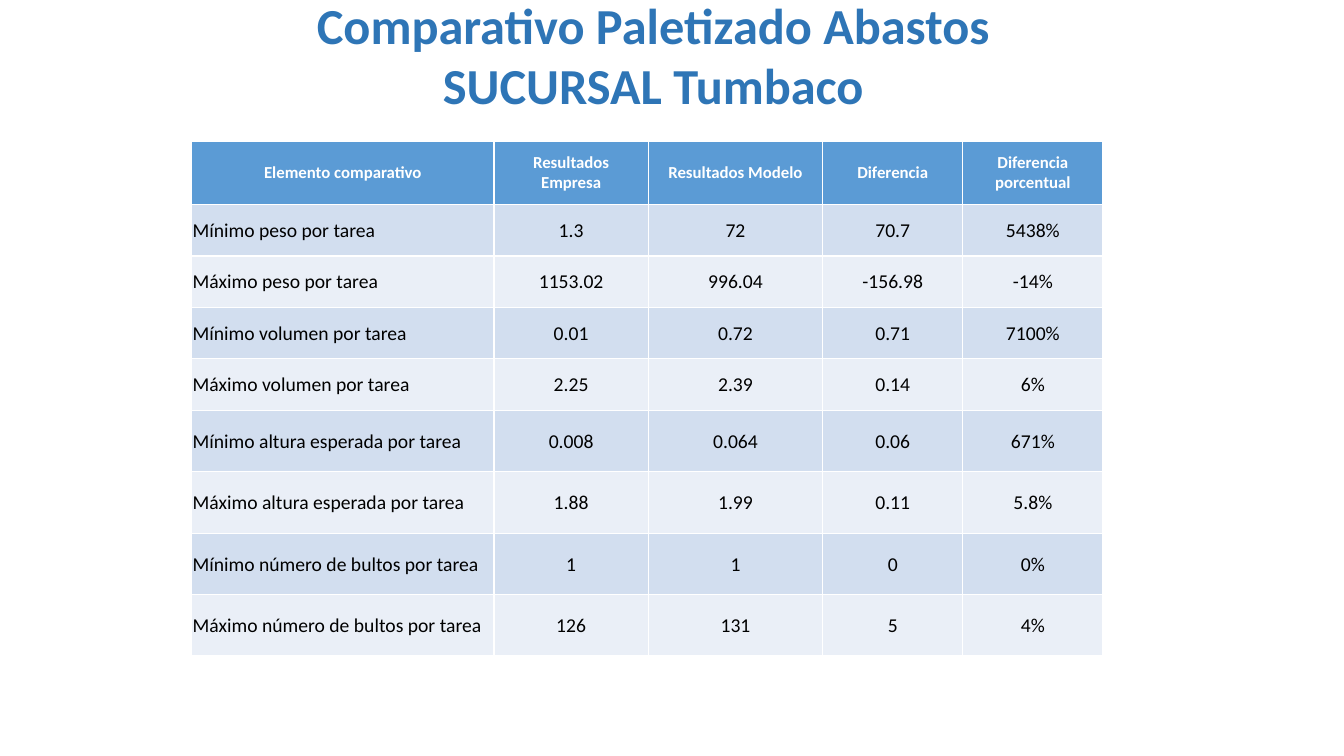
"""Build the pallet comparison slide: a two-line title above a results table."""
from pptx import Presentation
from pptx.dml.color import RGBColor
from pptx.enum.text import MSO_ANCHOR, MSO_AUTO_SIZE, PP_ALIGN
from pptx.util import Inches, Pt

TITLE_BLUE = RGBColor(0x2E, 0x75, 0xB6)
HEADER_BLUE = RGBColor(0x5B, 0x9B, 0xD5)
BAND_DARK = RGBColor(0xD2, 0xDE, 0xEF)
BAND_LIGHT = RGBColor(0xEA, 0xEF, 0xF7)
WHITE = RGBColor(0xFF, 0xFF, 0xFF)
BLACK = RGBColor(0, 0, 0)

COL_WIDTHS = [3, 1.53, 1.73, 1.39, 1.39]
ROW_HEIGHTS = [0.63] + [0.51] * 4 + [0.61] * 4
ROWS = [
    ("Elemento comparativo", "Resultados Empresa", "Resultados Modelo", "Diferencia", "Diferencia porcentual"),
    ("Mínimo peso por tarea", "1.3", "72", "70.7", "5438%"),
    ("Máximo peso por tarea", "1153.02", "996.04", "-156.98", "-14%"),
    ("Mínimo volumen por tarea", "0.01", "0.72", "0.71", "7100%"),
    ("Máximo volumen por tarea", "2.25", "2.39", "0.14", "6%"),
    ("Mínimo altura esperada por tarea", "0.008", "0.064", "0.06", "671%"),
    ("Máximo altura esperada por tarea", "1.88", "1.99", "0.11", "5.8%"),
    ("Mínimo número de bultos por tarea", "1", "1", "0", "0%"),
    ("Máximo número de bultos por tarea", "126", "131", "5", "4%"),
]


def write(tf, text, size, color, bold=False, align=PP_ALIGN.CENTER):
    tf.text = text
    for p in tf.paragraphs:
        p.alignment = align
        for r in p.runs:
            r.font.name = "Calibri"
            r.font.size = Pt(size)
            r.font.bold = bold
            r.font.color.rgb = color


prs = Presentation()
prs.slide_width, prs.slide_height = Inches(13.33), Inches(7.5)
s = prs.slides.add_slide(prs.slide_layouts[5])

title = s.shapes.title
title.left, title.top = Inches(2.14), Inches(0.34)
title.width, title.height = Inches(8.68), Inches(0.4)
tf = title.text_frame
tf.auto_size = MSO_AUTO_SIZE.NONE
tf.word_wrap = True
tf.vertical_anchor = MSO_ANCHOR.MIDDLE
tf.margin_left = tf.margin_right = Inches(0.13)
tf.margin_top = tf.margin_bottom = Inches(0.06)
write(tf, "Comparativo Paletizado Abastos\nSUCURSAL Tumbaco", 36, TITLE_BLUE, bold=True)

table = s.shapes.add_table(
    len(ROWS), len(COL_WIDTHS), Inches(1.9), Inches(1.4),
    Inches(sum(COL_WIDTHS)), Inches(sum(ROW_HEIGHTS))).table
for col, width in zip(table.columns, COL_WIDTHS):
    col.width = Inches(width)
for i, (row, height, values) in enumerate(zip(table.rows, ROW_HEIGHTS, ROWS)):
    row.height = Inches(height)
    for j, (cell, value) in enumerate(zip(row.cells, values)):
        cell.vertical_anchor = MSO_ANCHOR.MIDDLE
        cell.fill.solid()
        if i == 0:
            cell.fill.fore_color.rgb = HEADER_BLUE
            write(cell.text_frame, value, 12, WHITE, bold=True)
        else:
            cell.fill.fore_color.rgb = BAND_DARK if i % 2 else BAND_LIGHT
            cell.margin_left = cell.margin_right = cell.margin_top = Inches(0.01)
            cell.margin_bottom = 0
            align = PP_ALIGN.CENTER if j else PP_ALIGN.LEFT
            write(cell.text_frame, value, 14, BLACK, align=align)

prs.save("out.pptx")
